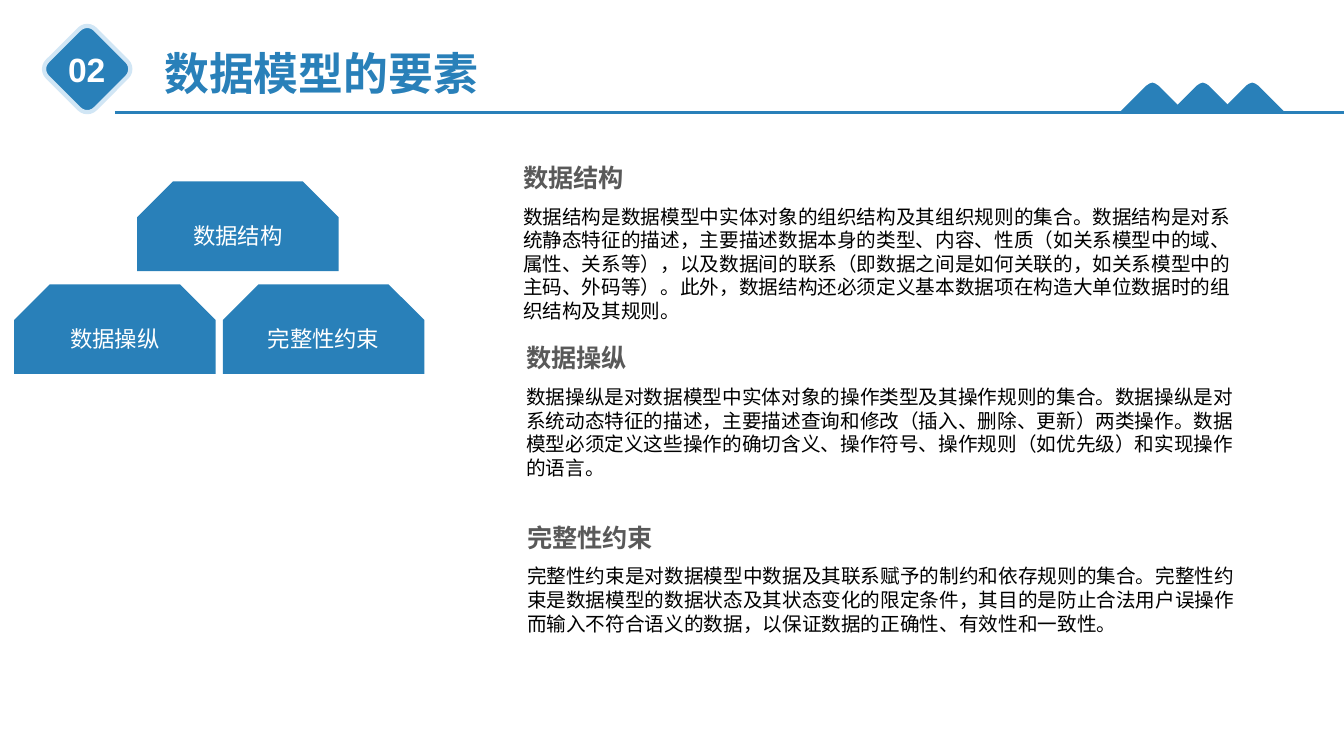
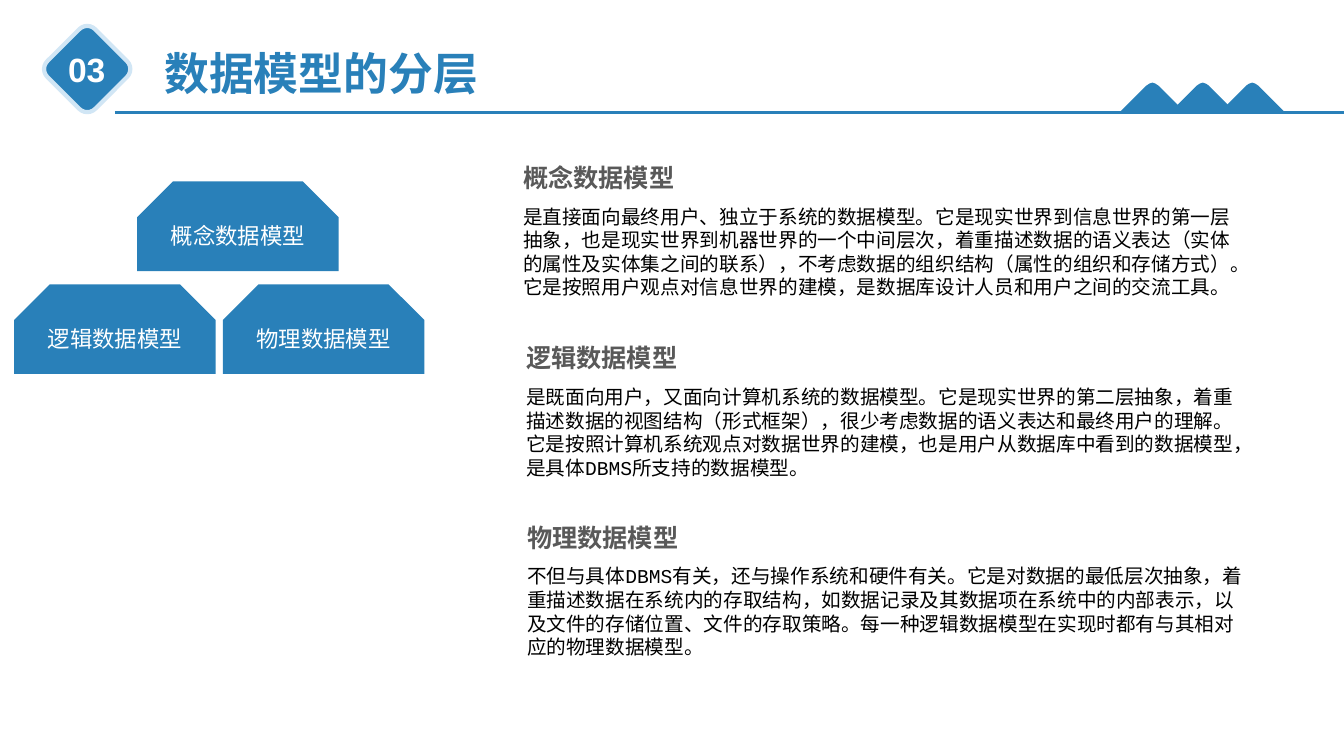
"""Build two slides on the elements and the layers of data models."""
from lxml.etree import SubElement
from pptx import Presentation
from pptx.dml.color import RGBColor
from pptx.enum.lang import MSO_LANGUAGE_ID
from pptx.enum.shapes import MSO_CONNECTOR, MSO_SHAPE
from pptx.enum.text import MSO_ANCHOR, MSO_AUTO_SIZE, PP_ALIGN
from pptx.oxml.ns import qn
from pptx.util import Inches, Pt

HUES = {"blue": "2980B9", "pale": "D1E6F5", "gray": "595959",
        "black": "000000", "white": "FFFFFF"}
BLOCKS = [(1.36, 1.8), (0.14, 2.82), (2.21, 2.82)]
NOTES = [(5.09, 1.5), (5.12, 3.29), (5.13, 5.07)]
PEAKS = [11.43, 11.93, 12.42]
RIDGE = [(-0.33, 1.12), (-0.06, 0.85), (-0.03, 0.83), (0, 0.82),
         (0.03, 0.83), (0.06, 0.85), (0.33, 1.12)]

PAGES = [
    ("02", "数据模型的要素", [
        ("数据结构", "数据结构是数据模型中实体对象的组织结构及其组织规则的集合。数据结构是对系统静态特征的描述，主要描述数据本身的类型、内容、性质（如关系模型中的域、属性、关系等），以及数据间的联系（即数据之间是如何关联的，如关系模型中的主码、外码等）。此外，数据结构还必须定义基本数据项在构造大单位数据时的组织结构及其规则。"),
        ("数据操纵", "数据操纵是对数据模型中实体对象的操作类型及其操作规则的集合。数据操纵是对系统动态特征的描述，主要描述查询和修改（插入、删除、更新）两类操作。数据模型必须定义这些操作的确切含义、操作符号、操作规则（如优先级）和实现操作的语言。"),
        ("完整性约束", "完整性约束是对数据模型中数据及其联系赋予的制约和依存规则的集合。完整性约束是数据模型的数据状态及其状态变化的限定条件，其目的是防止合法用户误操作而输入不符合语义的数据，以保证数据的正确性、有效性和一致性。"),
    ]),
    ("03", "数据模型的分层", [
        ("概念数据模型", "是直接面向最终用户、独立于系统的数据模型。它是现实世界到信息世界的第一层抽象，也是现实世界到机器世界的一个中间层次，着重描述数据的语义表达（实体的属性及实体集之间的联系），不考虑数据的组织结构（属性的组织和存储方式）。它是按照用户观点对信息世界的建模，是数据库设计人员和用户之间的交流工具。"),
        ("逻辑数据模型", "是既面向用户，又面向计算机系统的数据模型。它是现实世界的第二层抽象，着重描述数据的视图结构（形式框架），很少考虑数据的语义表达和最终用户的理解。它是按照计算机系统观点对数据世界的建模，也是用户从数据库中看到的数据模型，是具体DBMS所支持的数据模型。"),
        ("物理数据模型", "不但与具体DBMS有关，还与操作系统和硬件有关。它是对数据的最低层次抽象，着重描述数据在系统内的存取结构，如数据记录及其数据项在系统中的内部表示，以及文件的存储位置、文件的存取策略。每一种逻辑数据模型在实现时都有与其相对应的物理数据模型。"),
    ]),
]


def tint(name):
    return RGBColor.from_string(HUES[name])


def box(*sizes):
    return [Inches(size) for size in sizes]


class Deck:
    def __init__(self):
        self.show = Presentation()
        self.show.slide_width, self.show.slide_height = box(13.33, 7.5)
        self.slide = None

    def words(self, shape, text, size, hue, bold=False, face="Arial",
              align=PP_ALIGN.LEFT, wrap=False, lead=1.0):
        frame = shape.text_frame
        frame.text = text
        frame.word_wrap = wrap
        line = frame.paragraphs[0]
        line.alignment = align
        line.line_spacing = lead
        font = line.font
        font.name, font.size, font.bold = face, Pt(size), bold
        font.color.rgb = tint(hue)
        font.language_id = MSO_LANGUAGE_ID.SIMPLIFIED_CHINESE
        return frame

    def paint(self, shape):
        shape.shadow.inherit = False
        shape.fill.solid()
        shape.fill.fore_color.rgb = tint("blue")
        shape.line.fill.background()

    def shape(self, kind, *place):
        shape = self.slide.shapes.add_shape(kind, *box(*place))
        self.paint(shape)
        return shape

    def label(self, place, *args, **style):
        shape = self.slide.shapes.add_textbox(*box(*place))
        frame = self.words(shape, *args, **style)
        frame.auto_size = MSO_AUTO_SIZE.SHAPE_TO_FIT_TEXT

    def title(self, text):
        shape = self.slide.shapes.title
        shape.left, shape.top, shape.width, shape.height = box(1.53, 0.4, 3.34, 0.64)
        frame = self.words(shape, text, 32, "blue", bold=True)
        frame.vertical_anchor = MSO_ANCHOR.TOP
        frame.auto_size = MSO_AUTO_SIZE.SHAPE_TO_FIT_TEXT

    def badge(self, number):
        gem = self.shape(MSO_SHAPE.ROUNDED_RECTANGLE, 0.53, 0.35, 0.67, 0.67)
        gem.rotation = 45
        gem.line.color.rgb = tint("pale")
        gem.line.width = Pt(3)
        self.label((0.57, 0.44, 0.58, 0.5), number, 24, "white",
                   bold=True, align=PP_ALIGN.CENTER)

    def rule(self):
        line = self.slide.shapes.add_connector(
            MSO_CONNECTOR.STRAIGHT, *box(1.14, 1.12, 13.33, 1.12))
        line.line.color.rgb = tint("blue")
        line.line.width = Pt(2.25)
        SubElement(line.element.spPr, qn("a:effectLst"))

    def peak(self, mid):
        first, *rest = [box(mid + x, y) for x, y in RIDGE]
        pen = self.slide.shapes.build_freeform(*first)
        pen.add_line_segments(rest, close=True)
        self.paint(pen.convert_to_shape())

    def block(self, left, top, text):
        shape = self.shape(MSO_SHAPE.SNIP_2_SAME_RECTANGLE, left, top, 2, 0.89)
        shape.adjustments[0] = 0.4
        shape.adjustments[1] = 0
        frame = self.words(shape, text, 16, "white", align=PP_ALIGN.CENTER)
        frame.vertical_anchor = MSO_ANCHOR.MIDDLE

    def note(self, left, top, head, body):
        self.label((left, top, 7.52, 0.43), head, 18, "gray",
                   bold=True, wrap=True, lead=1.2)
        self.label((left, top + 0.48, 7.33, 1.04), body, 14, "black",
                   face="Courier New", wrap=True)

    def page(self, number, title, items):
        self.slide = self.show.slides.add_slide(self.show.slide_layouts[5])
        self.title(title)
        self.badge(number)
        self.rule()
        for mid in PEAKS:
            self.peak(mid)
        for (head, body), spot, place in zip(items, BLOCKS, NOTES):
            self.block(*spot, head)
            self.note(*place, head, body)


def main():
    deck = Deck()
    for page in PAGES:
        deck.page(*page)
    deck.show.save("out.pptx")


if __name__ == "__main__":
    main()
